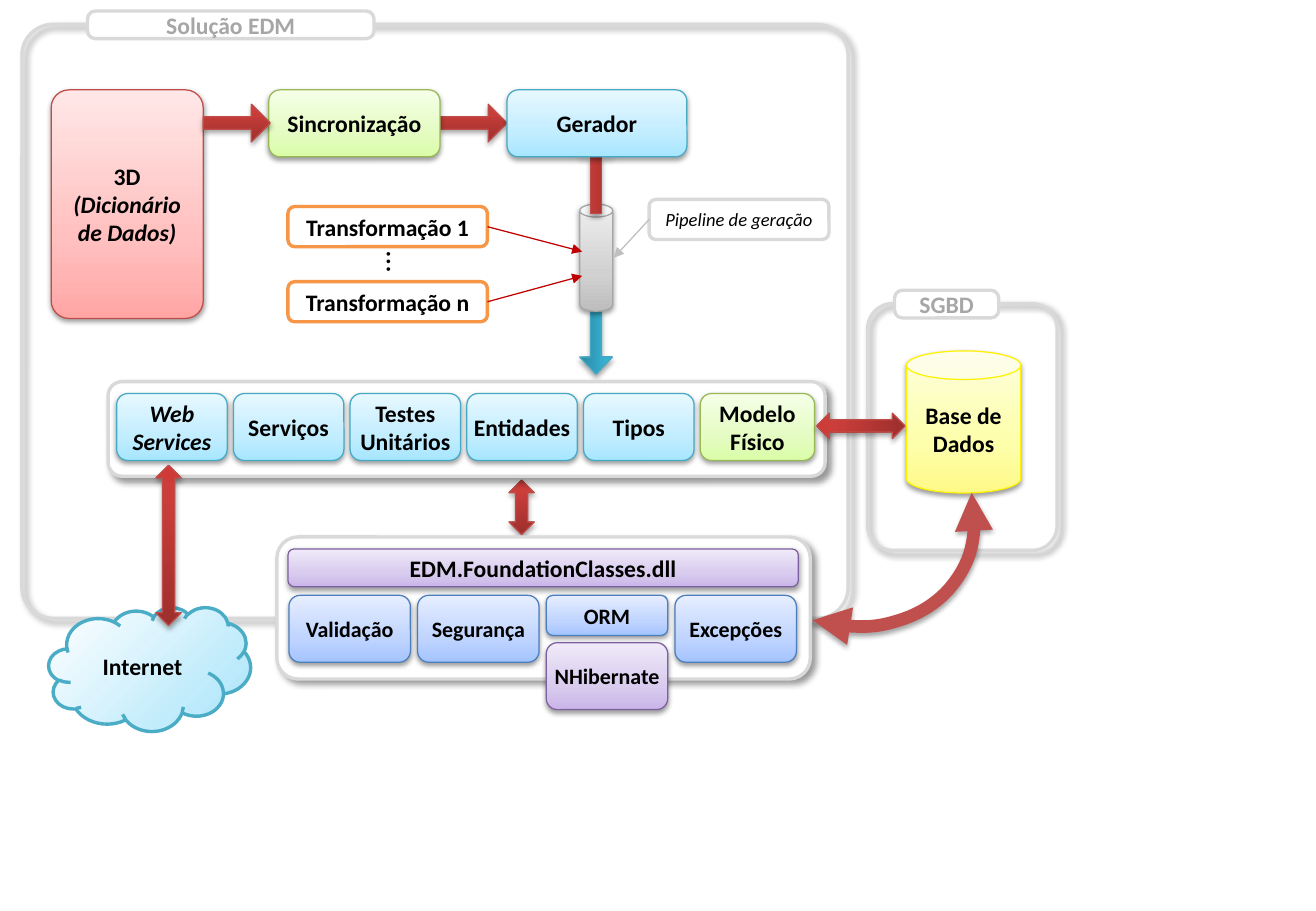
from dataclasses import dataclass
from typing import NamedTuple

from lxml import etree
from pptx import Presentation
from pptx import util as u
from pptx.dml.color import RGBColor
from pptx.enum import shapes, text
from pptx.oxml.ns import qn

KIND = shapes.MSO_SHAPE


class Box(NamedTuple):
    """A rectangle in centimetres."""
    x: float
    y: float
    w: float
    h: float

    def sub(self, dx, dy, w, h):
        """Return a box placed relative to this one's corner."""
        return Box(self.x + dx, self.y + dy, w, h)


class Look(NamedTuple):
    """Fill stops, outline and shadow of one family of shapes."""
    fill: tuple
    line: str
    width: float = 0.75
    shadow: tuple = (38, 3.1, 1.6, 90)


@dataclass(frozen=True)
class Theme:
    """Colours and type sizes of the slide."""
    font: str = "Calibri"
    size: float = 14
    small: float = 13
    note: float = 11
    dots: float = 18
    ink: str = "000000"
    muted: str = "A6A6A6"
    pointer: str = "C00000"
    note_pointer: str = "BFBFBF"
    stops: tuple = (0, 35, 100)
    arrow_stops: tuple = (0, 80, 100)
    frame: Look = Look((), "D9D9D9", 2, (40, 4, 3, 45))
    card: Look = Look(("FFFFFF",), "D9D9D9", 2, (40, 4, 3, 45))
    tag: Look = Look(("FFFFFF",), "D9D9D9", 2, ())
    step: Look = Look(("FFFFFF",), "F79646", 2, ())
    cloud: Look = Look(("A8E4FA", "FFFFFF"), "4BACC6", 2, ())
    curve: Look = Look((), "C0504D", 7.5, (35, 3.1, 1.8, 90))
    green: Look = Look(("DAFDA7", "E4FCC2", "F5FFE7"), "98B955")
    pink: Look = Look(("FFA6A5", "FFC0BF", "FFE7E7"), "BF4C48")
    yellow: Look = Look(("FFF987", "FDFFAB", "FEFEDC"), "FEF202")
    gray: Look = Look(("BDBDBD", "D1D1D1", "EEEEEE"), "A6A6A6")
    cyan: Look = Look(("A7E6FF", "C1EDFF", "E7F8FF"), "46AAC5")
    purple: Look = Look(("C9B5E8", "D8CBEE", "F0EAF9"), "7D60A0")
    blue: Look = Look(("A4C4FF", "BFD4FF", "E6EEFF"), "4B7EBC")
    red_arrow: Look = Look(("9C2F2D", "CB3E3A", "CE3B37"), "BF4C48", 0.75, (35, 3.1, 1.8, 90))
    teal_arrow: Look = Look(("2A88A2", "37B1D2", "34B4D6"), "46AAC5", 0.75, (35, 3.1, 1.8, 90))


T = Theme()


def rgb(value):
    """Turn a hex string into a colour."""
    return RGBColor.from_string(value)


def node(parent, tag, **attrs):
    """Append a DrawingML element."""
    return etree.SubElement(parent, qn(tag), {k: str(v) for k, v in attrs.items()})


def color_node(parent, value):
    """Append a colour element."""
    return node(parent, "a:srgbClr", val=value)


def paint(sp, look, stops):
    """Apply fill, outline and shadow."""
    pr = sp.element.spPr
    if not look.fill:
        sp.fill.background()
    elif len(look.fill) == 1:
        sp.fill.solid()
        sp.fill.fore_color.rgb = rgb(look.fill[0])
    else:
        sp.fill.gradient()
        grad = pr.find(qn("a:gradFill"))
        for child in list(grad):
            grad.remove(child)
        items = node(grad, "a:gsLst")
        for pos, value in zip(stops, look.fill):
            color_node(node(items, "a:gs", pos=pos * 1000), value)
        if look is T.cloud:
            node(node(grad, "a:path", path="circle"), "a:fillToRect", l=100000, t=100000)
        else:
            node(grad, "a:lin", ang=270 * 60000, scaled=0)
    sp.line.color.rgb = rgb(look.line)
    sp.line.width = u.Pt(look.width)
    sp.shadow.inherit = False
    if look.shadow:
        alpha, blur, dist, angle = look.shadow
        outer = node(pr.find(qn("a:effectLst")), "a:outerShdw", blurRad=u.Pt(blur),
                     dist=u.Pt(dist), dir=angle * 60000, rotWithShape=0)
        node(color_node(outer, T.ink), "a:alpha", val=alpha * 1000)


def draw(s, kind, box, look, adj=(), rot=0, stops=T.stops):
    """Draw a preset shape in a box."""
    sp = s.shapes.add_shape(kind, *(u.Cm(round(v, 2)) for v in box))
    for i, value in enumerate(adj):
        sp.adjustments[i] = value
    sp.rotation = rot
    paint(sp, look, stops)
    return sp


def label(sp, words, size=T.size, color=T.ink, bold=True, italic=False, inset=True):
    """Write centred text, with the last paragraph italic on request."""
    tf = sp.text_frame
    tf.text = words
    tf.word_wrap = True
    tf.vertical_anchor = text.MSO_ANCHOR.MIDDLE
    if not inset:
        tf.margin_left = tf.margin_right = tf.margin_top = tf.margin_bottom = 0
    for p in tf.paragraphs:
        p.alignment = text.PP_ALIGN.CENTER
        f = p.font
        f.name, f.size, f.bold = T.font, u.Pt(size), bold
        f.color.rgb = rgb(color)
    f.italic = italic
    return sp


def block(s, box, look, words, **style):
    """Draw a labelled rounded block."""
    return label(draw(s, KIND.ROUNDED_RECTANGLE, box, look), words, **style)


def arrow(s, kind, box, adj, rot=0, look=T.red_arrow):
    """Draw a block arrow."""
    return draw(s, kind, box, look, adj, rot, T.arrow_stops)


def both_ways(s, box, rot=0):
    """Draw a double-headed block arrow."""
    return arrow(s, KIND.UP_DOWN_ARROW, box, (0.455, 0.485), rot)


def arrowheads(sp, *ends):
    """Add triangles to the ends of an outline."""
    ln = sp.line._get_or_add_ln()
    for end in ends:
        node(ln, end, type="triangle")


def pointer(s, sp, side, x, y, color):
    """Draw a thin arrow from a side of a block to a point."""
    end = u.Cm(round(x, 2)), u.Cm(round(y, 2))
    c = s.shapes.add_connector(shapes.MSO_CONNECTOR.STRAIGHT, *end, *end)
    c.begin_connect(sp, side)
    c.line.color.rgb = rgb(color)
    c.line.width = u.Pt(0.75)
    arrowheads(c, "a:tailEnd")
    node(c.element.spPr, "a:effectLst")


def frame(s, box, adj, tag_x, tag_w, words):
    """Draw an outlined area with its title tag."""
    draw(s, KIND.ROUNDED_RECTANGLE, box, T.frame, (adj,))
    tag = draw(s, KIND.ROUNDED_RECTANGLE, box.sub(tag_x, -0.28, tag_w, 0.58), T.tag, (0.285,))
    label(tag, words, color=T.muted)


def generation(s, box):
    """Draw the flow from dictionary through the pipeline."""
    arrow(s, KIND.RIGHT_ARROW, box.sub(8.13, 0.3, 1.4, 0.79), (0.332, 0.5))
    block(s, box.sub(4.55, 0, 3.58, 1.4), T.green, "Sincronização")
    data = draw(s, KIND.ROUNDED_RECTANGLE, box.sub(0, 0, 3.18, 4.78), T.pink, (0.117,))
    label(data, "3D\n(Dicionário de Dados)", italic=True)
    arrow(s, KIND.RIGHT_ARROW, box.sub(3.18, 0.3, 1.4, 0.79), (0.332, 0.5))
    arrow(s, KIND.RIGHT_ARROW, box.sub(10.74, 4.95, 1.3, 0.69), (0.332, 0.522), 90, T.teal_arrow)
    draw(s, KIND.CAN, box.sub(11.05, 2.39, 0.69, 2.24), T.gray, (0.392,))
    arrow(s, KIND.RIGHT_ARROW, box.sub(10.8, 1.65, 1.19, 0.69), (0.332, 0), 270)
    block(s, box.sub(9.53, 0, 3.76, 1.4), T.cyan, "Gerador")
    for name, y, end_y in (("1", 2.44, 3.38), ("n", 4.01, 3.89)):
        step = block(s, box.sub(4.95, y, 4.17, 0.84), T.step, f"Transformação {name}")
        pointer(s, step, 3, box.x + 11.1, box.y + end_y, T.pointer)
    note = block(s, box.sub(12.5, 2.29, 3.76, 0.84), T.tag, "Pipeline de geração",
                 size=T.note, bold=False, italic=True)
    pointer(s, note, 1, box.x + 11.76, box.y + 3.51, T.note_pointer)
    dots = s.shapes.add_textbox(*(u.Cm(round(v, 2)) for v in box.sub(7.06, 3.07, 0.41, 1.02)))
    dots.rotation = 90
    tf = dots.text_frame
    tf.margin_left = tf.margin_right = 0
    tf.word_wrap = False
    p = tf.paragraphs[0]
    p.text = "…"
    p.font.name, p.font.size = T.font, u.Pt(T.dots)
    p.font.color.rgb = rgb(T.ink)


def foundation(s, box):
    """Draw the foundation classes card and its modules."""
    both_ways(s, box.sub(4.85, -1.19, 0.53, 1.14))
    draw(s, KIND.ROUNDED_RECTANGLE, box, T.card, (0.148,))
    block(s, box.sub(0.23, 0.25, 10.67, 0.79), T.purple, "EDM.FoundationClasses.dll")
    for i, name in enumerate(("Validação", "Segurança", "ORM", "Excepções")):
        height = 0.84 if name == "ORM" else 1.4
        block(s, box.sub(0.25 + 2.69 * i, 1.22, 2.54, height), T.blue, name,
              size=T.small, inset=False)
    block(s, box.sub(5.63, 2.21, 2.54, 1.4), T.purple, "NHibernate", size=T.small, inset=False)


def layers(s, box):
    """Draw the row of generated layers."""
    draw(s, KIND.ROUNDED_RECTANGLE, box, T.card, (0.148,))
    names = ("Web Services", "Serviços", "Testes Unitários", "Entidades", "Tipos", "Modelo Físico")
    for i, name in enumerate(names):
        last = i == len(names) - 1
        block(s, box.sub(0.18 + 2.44 * i, 0.25, 2.39 if last else 2.31, 1.4),
              T.green if last else T.cyan, name, italic=i == 0, inset=last)


def internet(s, box):
    """Draw the cloud and its link upwards."""
    label(draw(s, KIND.CLOUD, box, T.cloud, stops=(0, 100)), "Internet")
    both_ways(s, box.sub(2.24, -2.97, 0.53, 3.35))


def database(s, box):
    """Draw the database area and its links."""
    frame(s, box, 0.132, 0.56, 2.18, "SGBD")
    label(draw(s, KIND.CAN, box.sub(0.81, 0.99, 2.39, 2.97), T.yellow), "Base de Dados")
    both_ways(s, box.sub(-0.41, 1.63, 0.53, 1.85), 270)
    arc = draw(s, KIND.ARC, box.sub(-3.66, 0.33, 5.33, 6.93), T.curve, (142.75, 196.95), 125)
    arrowheads(arc, "a:headEnd", "a:tailEnd")


def main():
    """Build and save the slide."""
    prs = Presentation()
    prs.slide_width, prs.slide_height = u.Cm(27.51), u.Cm(19.05)
    s = prs.slides.add_slide(prs.slide_layouts[6])
    frame(s, Box(0.46, 0.51, 17.27, 12.42), 0.052, 1.37, 5.99, "Solução EDM")
    generation(s, Box(1.07, 1.88, 16.26, 5.8))
    foundation(s, Box(5.79, 11.23, 11.15, 2.97))
    layers(s, Box(2.26, 7.98, 14.99, 1.98))
    internet(s, Box(1.02, 12.7, 4.22, 2.59))
    database(s, Box(18.14, 6.35, 3.96, 5.16))
    prs.save("out.pptx")


if __name__ == "__main__":
    main()
